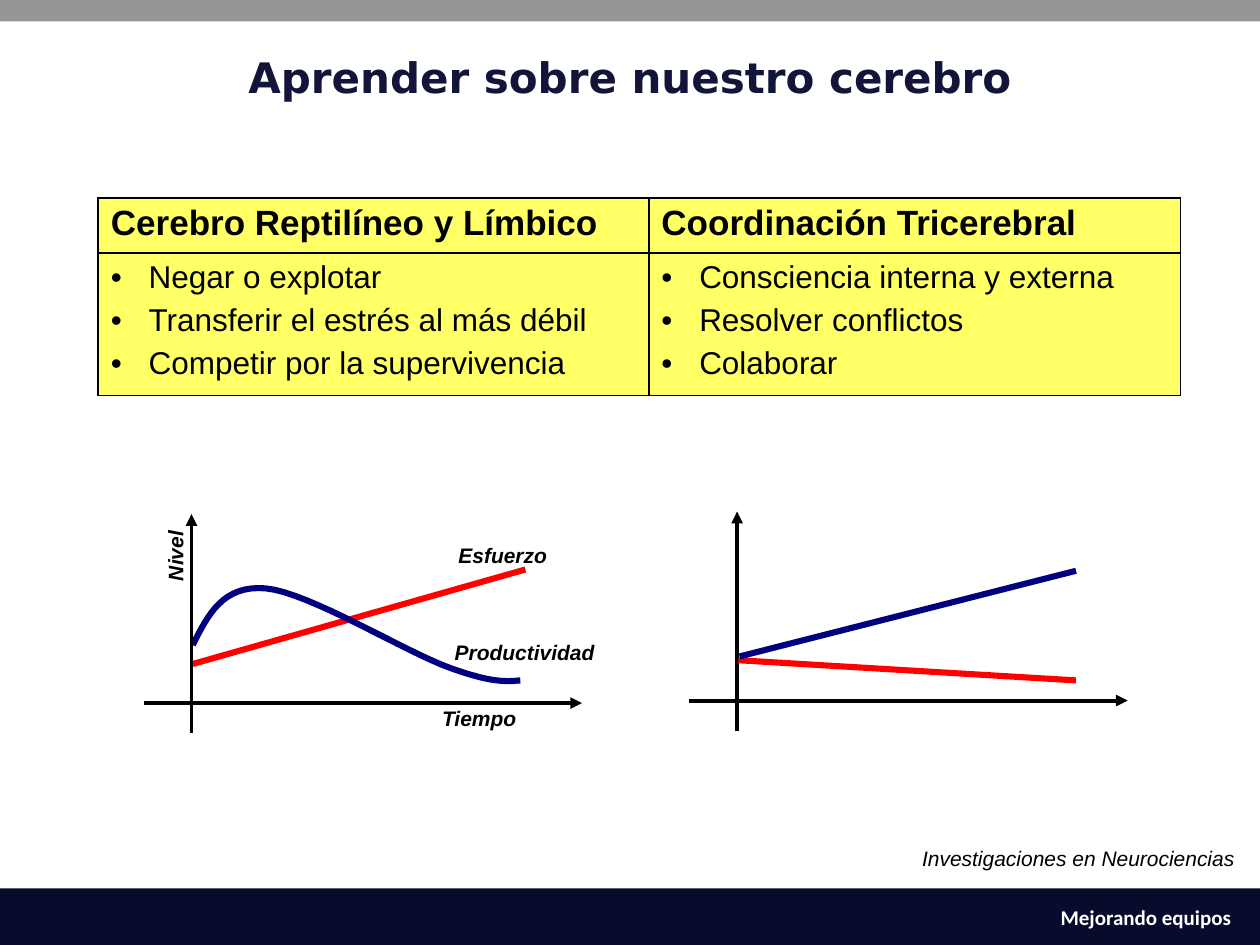
from dataclasses import dataclass

from lxml.etree import SubElement
from pptx import Presentation
from pptx.dml.color import RGBColor
from pptx.enum.shapes import MSO_CONNECTOR as Connector, MSO_SHAPE as Preset
from pptx.enum.text import MSO_AUTO_SIZE as AutoSize, PP_ALIGN as Align
from pptx.oxml.ns import qn
from pptx.util import Inches, Pt


@dataclass(frozen=True)
class Theme:
    """Colours, fonts, type sizes and line widths of the deck."""

    ink: str = "000000"
    navy: str = "070C2C"
    heading: str = "121539"
    gray: str = "969696"
    white: str = "FFFFFF"
    yellow: str = "FFFF66"
    effort: str = "FF0000"
    output: str = "000080"
    body_font: str = "Arial"
    title_font: str = "DejaVu Sans"
    footer_font: str = "Calibri"
    title_size: int = 24
    header_size: int = 20
    item_size: int = 18
    label_size: int = 12
    border: float = 1.08
    axis: float = 2.25
    trend: float = 3.5


class SlideBuilder:
    """Draws elements on a slide whose grid has 100 columns and 75 rows."""

    def __init__(self, deck, theme):
        """Add a blank slide and derive the grid unit from the deck width."""
        self.slide = deck.slides.add_slide(deck.slide_layouts[6])
        self.shapes = self.slide.shapes
        self.theme = theme
        self.unit = deck.slide_width / 100

    def grid(self, *lengths):
        """Convert grid lengths to EMU."""
        return [round(length * self.unit) for length in lengths]

    def style(self, paragraph, size, color=None, font=None, bold=False, italic=False):
        """Format every run of a paragraph."""
        for run in paragraph.runs:
            run.font.name = font or self.theme.body_font
            run.font.size = Pt(size)
            run.font.bold = bold
            run.font.italic = italic
            run.font.color.rgb = RGBColor.from_string(color or self.theme.ink)

    def band(self, row, height, color):
        """Draw a full-width bar."""
        bar = self.shapes.add_shape(Preset.RECTANGLE, *self.grid(0, row, 100, height))
        bar.shadow.inherit = False
        bar.fill.solid()
        bar.fill.fore_color.rgb = RGBColor.from_string(color)
        bar.line.fill.background()

    def text(self, words, box, size, align=Align.LEFT, wrap=False, turn=0, **look):
        """Place one line of text."""
        label = self.shapes.add_textbox(*self.grid(*box))
        label.rotation = turn
        frame = label.text_frame
        frame.word_wrap = wrap
        frame.auto_size = AutoSize.SHAPE_TO_FIT_TEXT
        frame.text = words
        frame.paragraphs[0].alignment = align
        self.style(frame.paragraphs[0], size, **look)

    def line(self, start, end, color, width, arrow=False):
        """Draw a straight line, with an arrowhead at its end if asked."""
        stroke = self.shapes.add_connector(
            Connector.STRAIGHT, *self.grid(*start, *end))
        stroke.line.color.rgb = RGBColor.from_string(color)
        stroke.line.width = Pt(width)
        if arrow:
            SubElement(stroke.line._get_or_add_ln(), qn("a:tailEnd"), type="triangle")
        SubElement(stroke._element.spPr, qn("a:effectLst"))

    def axes(self, column, row):
        """Draw a pair of arrowed axes crossing at the given point."""
        ink, width = self.theme.ink, self.theme.axis
        self.line((column, row + 2.4), (column, row - 15), ink, width, arrow=True)
        self.line((column - 3.8, row), (column + 31, row), ink, width, arrow=True)

    def curve(self, start, segments, color, width, steps=16):
        """Draw a smooth open outline through cubic Bézier segments."""
        points, origin = [], start
        for first, second, end in segments:
            for step in range(1, steps + 1):
                t = step / steps
                weights = (1 - t) ** 3, 3 * t * (1 - t) ** 2, 3 * t * t * (1 - t), t ** 3
                knots = origin, first, second, end
                points.append(self.grid(*(
                    sum(w * knot[axis] for w, knot in zip(weights, knots))
                    for axis in (0, 1))))
            origin = end
        outline = self.shapes.build_freeform(*self.grid(*start))
        outline.add_line_segments(points, close=False)
        trace = outline.convert_to_shape()
        trace.shadow.inherit = False
        trace.fill.background()
        trace.line.color.rgb = RGBColor.from_string(color)
        trace.line.width = Pt(width)

    def cell(self, cell, lines, size, bold=False, bullets=False):
        """Fill one bordered table cell."""
        properties = cell._tc.get_or_add_tcPr()
        for side in ("lnL", "lnR", "lnT", "lnB"):
            edge = SubElement(
                properties, qn(f"a:{side}"), w=str(int(Pt(self.theme.border))))
            paint = SubElement(edge, qn("a:solidFill"))
            SubElement(paint, qn("a:srgbClr"), val=self.theme.ink)
        cell.fill.solid()
        cell.fill.fore_color.rgb = RGBColor.from_string(self.theme.yellow)
        cell.text_frame.text = "\n".join(lines)
        for index, paragraph in enumerate(cell.text_frame.paragraphs):
            if index:
                paragraph.space_before = Pt(4.5)
            if bullets:
                layout = paragraph._p.get_or_add_pPr()
                layout.set("marL", str(Inches(0.3)))
                layout.set("indent", str(-Inches(0.3)))
                SubElement(layout, qn("a:buFont"), typeface=self.theme.body_font)
                SubElement(layout, qn("a:buChar"), char="•")
            self.style(paragraph, size, bold=bold)

    def table(self, box, widths, heights, content):
        """Draw a table with one heading and one bulleted list per column."""
        table = self.shapes.add_table(
            len(heights), len(widths), *self.grid(*box)).table
        table.first_row = table.horz_banding = False
        for row, height in zip(table.rows, self.grid(*heights)):
            row.height = height
        for index, (heading, items) in enumerate(content.items()):
            table.columns[index].width = self.grid(widths[index])[0]
            self.cell(table.cell(0, index), [heading], self.theme.header_size, bold=True)
            self.cell(table.cell(1, index), items, self.theme.item_size, bullets=True)


BRAINS = {
    "Cerebro Reptilíneo y Límbico": [
        "Negar o explotar",
        "Transferir el estrés al más débil",
        "Competir por la supervivencia",
    ],
    "Coordinación Tricerebral": [
        "Consciencia interna y externa",
        "Resolver conflictos",
        "Colaborar",
    ],
}
PRODUCTIVITY = [
    ((16.5, 48.8), (17.7, 46.4), (21.1, 46.7)),
    ((24.5, 47), (32.3, 51.8), (35.7, 53)),
    ((39, 54.2), (40.2, 54.1), (41.3, 54)),
]
AXIS_LABELS = [
    ("Tiempo", (34.1, 55.5, 7.9, 3), 0),
    ("Nivel", (10.9, 42.6, 6, 3), 270),
    ("Productividad", (35.1, 50.3, 13.2, 3), 0),
    ("Esfuerzo", (35.4, 42.6, 9.4, 3), 0),
]


def main():
    """Build the slide and save it."""
    deck = Presentation()
    deck.slide_width, deck.slide_height = Inches(10), Inches(7.5)
    theme = Theme()
    page = SlideBuilder(deck, theme)

    page.band(70.5, 4.5, theme.navy)
    page.text("Mejorando equipos", (32.2, 71.3, 66.5, 3), theme.label_size,
              Align.RIGHT, wrap=True, color=theme.white,
              font=theme.footer_font, bold=True)
    page.band(0, 1.7, theme.gray)
    page.text("Aprender sobre nuestro cerebro", (0, 3.6, 100, 5), theme.title_size,
              Align.CENTER, wrap=True, color=theme.heading,
              font=theme.title_font, bold=True)
    page.table((7.8, 15.7, 86, 15.7), (43.7, 42.2), (4.4, 11.3), BRAINS)

    page.line((15.3, 52.7), (41.7, 45.2), theme.effort, theme.trend)
    page.curve((15.3, 51.2), PRODUCTIVITY, theme.output, theme.trend)
    page.axes(15.2, 55.8)
    page.axes(58.5, 55.6)
    page.line((58.6, 52.4), (85.4, 54), theme.effort, theme.trend)
    page.line((58.7, 52.1), (85.4, 45.3), theme.output, theme.trend)
    for words, box, turn in AXIS_LABELS:
        page.text(words, box, theme.label_size, turn=turn, bold=True, italic=True)
    page.text("Investigaciones en Neurociencias", (72.2, 66.6, 26.8, 3),
              theme.label_size, italic=True)
    deck.save("out.pptx")


if __name__ == "__main__":
    main()
